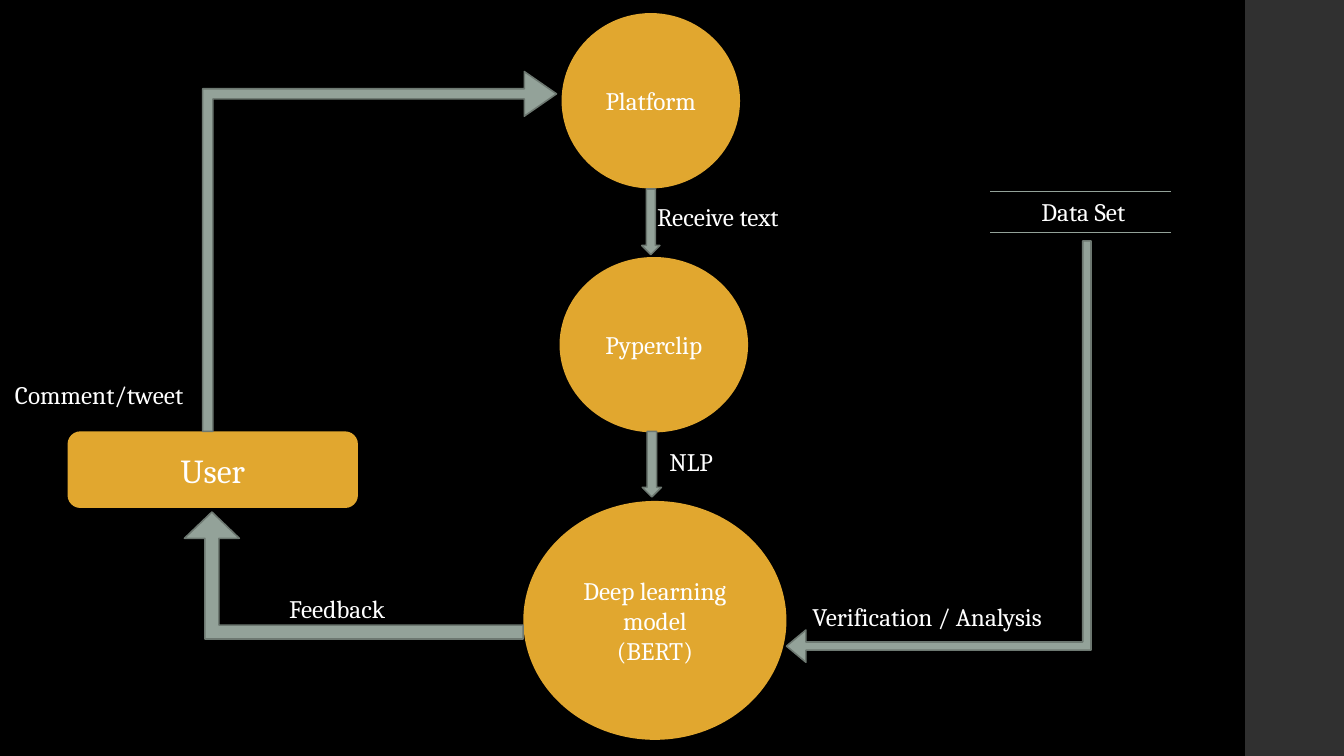
from lxml.etree import SubElement
from pptx import Presentation
from pptx.dml.color import RGBColor
from pptx.enum.shapes import MSO_CONNECTOR, MSO_SHAPE as SHAPE
from pptx.enum.text import MSO_ANCHOR, MSO_AUTO_SIZE, PP_ALIGN
from pptx.oxml.ns import qn
from pptx.util import Pt

PX = 9144  # 100 px to the inch
GOLD, SAGE, SAGE_DARK, WHITE = "E1A72F", "93A299", "6D7871", "FFFFFF"


def paint(fill, color):
    fill.solid()
    fill.fore_color.rgb = RGBColor.from_string(color)


def write(shape, lines, size, align):
    frame = shape.text_frame
    frame.word_wrap = True
    for number, line in enumerate(lines):
        para = frame.add_paragraph() if number else frame.paragraphs[0]
        para.alignment = align
        span = para.add_run()
        span.text = line
        span.font.name = "Cambria"
        span.font.size = Pt(size)
        span.font.color.rgb = RGBColor.from_string(WHITE)


deck = Presentation()
deck.slide_width, deck.slide_height = 1333 * PX, 750 * PX
page = deck.slides.add_slide(deck.slide_layouts[6])
paint(page.background.fill, "000000")

sidebar = page.shapes.add_shape(SHAPE.RECTANGLE, 1235 * PX, 0, 98 * PX, 750 * PX)
sidebar.shadow.inherit = False
paint(sidebar.fill, "303030")
sidebar.line.fill.background()

nodes = [
    (SHAPE.ROUNDED_RECTANGLE, (67, 428, 288, 76), ["User"], 24),
    (SHAPE.FLOWCHART_CONNECTOR, (557, 13, 177, 174), ["Platform"], 18),
    (SHAPE.FLOWCHART_CONNECTOR, (555, 255, 187, 174), ["Pyperclip"], 18),
    (SHAPE.FLOWCHART_CONNECTOR, (519, 497, 261, 237), ["Deep learning model", "(BERT)"], 18),
]
for kind, frame, lines, size in nodes:
    node = page.shapes.add_shape(kind, *[v * PX for v in frame])
    node.shadow.inherit = False
    paint(node.fill, GOLD)
    node.line.fill.background()
    node.text_frame.vertical_anchor = MSO_ANCHOR.MIDDLE
    write(node, lines, size, PP_ALIGN.CENTER)

# Frames are given before rotation
arrows = [
    (SHAPE.BENT_UP_ARROW, (198, 74, 357, 351), 90, (0.029, 0.063, 0.091)),
    (SHAPE.RIGHT_ARROW, (613, 211, 65, 18), 90, ()),
    (SHAPE.RIGHT_ARROW, (614, 451, 65, 19), 90, ()),
    (SHAPE.BENT_UP_ARROW, (722, 297, 418, 302), 270, (0.027, 0.053, 0.064)),
    (SHAPE.BENT_UP_ARROW, (183, 508, 336, 126), 0, (0.11, 0.216, 0.207)),
]
for kind, frame, rotation, adjustments in arrows:
    arrow = page.shapes.add_shape(kind, *[v * PX for v in frame])
    arrow.shadow.inherit = False
    arrow.rotation = rotation
    for number, value in enumerate(adjustments):
        arrow.adjustments[number] = value
    if kind == SHAPE.BENT_UP_ARROW:
        arrow.element.spPr.find(qn("a:xfrm")).set("flipH", "1")
    paint(arrow.fill, SAGE)
    paint(arrow.line.fill, SAGE_DARK)
    arrow.line.width = Pt(1.1)

for y in (190, 231):
    rule = page.shapes.add_connector(MSO_CONNECTOR.STRAIGHT, 982 * PX, y * PX, 1161 * PX, y * PX)
    paint(rule.line.fill, SAGE)
    rule.line.width = Pt(0.75)
    SubElement(rule.element.spPr, qn("a:effectLst"))

labels = [
    ("Comment/tweet", 5, 371, 249, PP_ALIGN.LEFT),
    ("Receive text", 642, 195, 249, PP_ALIGN.LEFT),
    ("NLP", 654, 438, 249, PP_ALIGN.LEFT),
    ("Feedback", 277, 584, 249, PP_ALIGN.LEFT),
    ("Verification / Analysis", 796, 592, 340, PP_ALIGN.LEFT),
    ("Data Set", 997, 190, 155, PP_ALIGN.CENTER),
]
for text, x, y, width, align in labels:
    box = page.shapes.add_textbox(x * PX, y * PX, width * PX, 40 * PX)
    box.text_frame.auto_size = MSO_AUTO_SIZE.SHAPE_TO_FIT_TEXT
    write(box, [text], 18, align)

deck.save("out.pptx")
